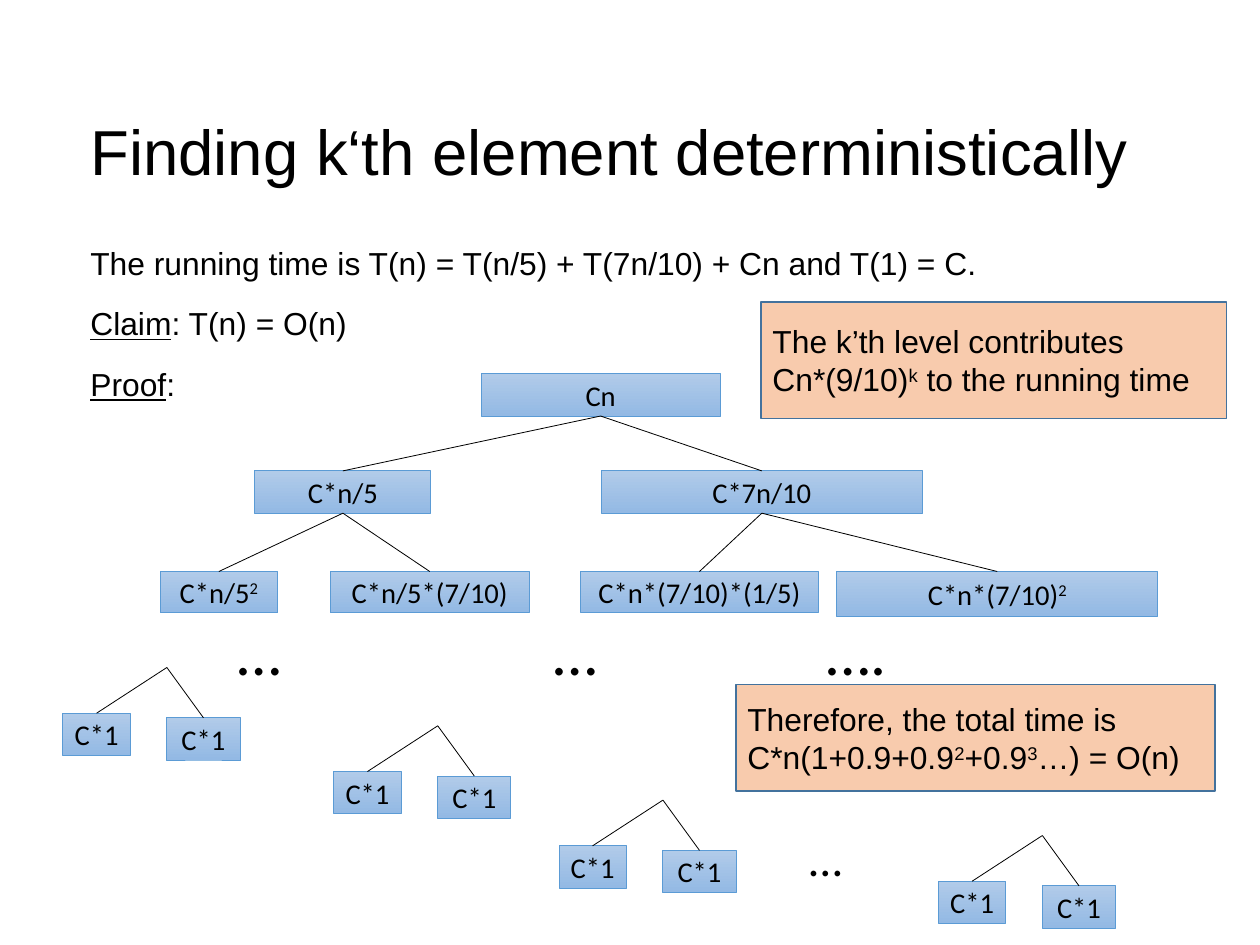
from pptx import Presentation
from pptx import util as u
from pptx.dml.color import RGBColor
from pptx.enum import shapes, text
from pptx.oxml.ns import qn
from lxml import etree

BLACK = RGBColor(0x00, 0x00, 0x00)
NODE_TOP = RGBColor(0xB1, 0xCB, 0xE9)
NODE_BOTTOM = RGBColor(0x93, 0xB9, 0xE4)
NODE_EDGE = RGBColor(0x5B, 0x9B, 0xD5)
NOTE_FILL = RGBColor(0xF8, 0xCB, 0xAD)
NOTE_EDGE = RGBColor(0x43, 0x72, 0x9D)

CELL = u.Inches(0.1)          # side of one grid cell
BOTTOM, TOP = 2, 0            # connection sites of a rectangle


def grid(*lengths):
    return [round(length * CELL) for length in lengths]


def write(frame, *paragraphs, size=20, font="Arial", color=BLACK, align=text.PP_ALIGN.LEFT,
          anchor=text.MSO_ANCHOR.TOP, after=0, inset=0, wrap=True, tabs=()):
    """Fill a frame; "|" parts runs, and a run may start with ^ (raised) or _ (underlined)."""
    frame.word_wrap = wrap
    frame.vertical_anchor = anchor
    frame.margin_left = frame.margin_right = round(inset * CELL)
    frame.margin_top = frame.margin_bottom = round(inset * CELL / 2)
    for index, content in enumerate(paragraphs):
        paragraph = frame.add_paragraph() if index else frame.paragraphs[0]
        paragraph.alignment = align
        paragraph.space_after = u.Pt(after)
        if tabs:
            stops = etree.SubElement(paragraph._p.get_or_add_pPr(), qn("a:tabLst"))
            for stop in grid(*tabs):
                etree.SubElement(stops, qn("a:tab"), pos=str(stop), algn="l")
        for piece in content.split("|"):
            if piece == "\n":
                paragraph.add_line_break()
                continue
            run = paragraph.add_run()
            run.text = piece.lstrip("^_")
            run.font.size, run.font.name = u.Pt(size), font
            run.font.color.rgb = color
            if piece.startswith("_"):
                run.font.underline = True
            if piece.startswith("^"):
                run._r.get_or_add_rPr().set("baseline", "30000")


class RecursionSlide:
    def __init__(self, deck):
        self.slide = deck.slides.add_slide(deck.slide_layouts[6])
        self.shapes = self.slide.shapes

    def label(self, column, row, width, height, *paragraphs, **style):
        box = self.shapes.add_textbox(*grid(column, row, width, height))
        write(box.text_frame, *paragraphs, **style)

    def box(self, column, row, width, height, edge, weight):
        box = self.shapes.add_shape(shapes.MSO_SHAPE.RECTANGLE, *grid(column, row, width, height))
        box.shadow.inherit = False
        box.line.color.rgb, box.line.width = edge, u.Pt(weight)
        return box

    def node(self, column, row, width, cost, height=3.7):
        node = self.box(column, row, width, height, NODE_EDGE, 0.5)
        node.fill.gradient()
        node.fill.gradient_angle = 270
        for stop, color in zip(node.fill.gradient_stops, (NODE_TOP, NODE_BOTTOM)):
            stop.color.rgb = color
        write(node.text_frame, cost, size=18, font="Calibri", wrap=False,
              align=text.PP_ALIGN.CENTER, anchor=text.MSO_ANCHOR.MIDDLE)
        return node

    def note(self, column, row, width, height, *paragraphs):
        note = self.box(column, row, width, height, NOTE_EDGE, 0.99)
        note.fill.solid()
        note.fill.fore_color.rgb = NOTE_FILL
        write(note.text_frame, *paragraphs, inset=1, anchor=text.MSO_ANCHOR.MIDDLE)

    def branch(self, child, parent=None, apex=(0, 0)):
        """Join a child's top to its parent's bottom, or to a loose apex."""
        start = grid(*apex)
        line = self.shapes.add_connector(shapes.MSO_CONNECTOR.STRAIGHT, *start, *start)
        if parent is not None:
            line.begin_connect(parent, BOTTOM)
        line.end_connect(child, TOP)
        line.line.color.rgb, line.line.width = BLACK, u.Pt(0.5)
        etree.SubElement(line._element.spPr, qn("a:effectLst"))

    def leaf_pair(self, column, row):
        for shift, drop, width in ((-9.1, 4, 5.9), (0, 4.4, 6.4)):
            leaf = self.node(column + shift, row + drop, width, "C*1")
            self.branch(leaf, apex=(column, row))


deck = Presentation()
deck.slide_width, deck.slide_height = u.Cm(28), u.Cm(21)
page = RecursionSlide(deck)

# Title and claim
page.label(7.9, 7.5, 92.5, 11.2, "Finding k‘th element deterministically",
           size=40, anchor=text.MSO_ANCHOR.MIDDLE)
page.label(7.9, 21.3, 96.8, 55.2,
           "The running time is T(n) = T(n/5) + T(7n/10) + Cn and T(1) = C.",
           "_Claim|: T(n) = O(n)", "_Proof|:", after=14.2)

# Top levels of the recursion tree
root = page.node(42.1, 32.7, 20.9, "Cn")
fifth = page.node(22.3, 41.2, 15.4, "C*n/5")
seven_tenths = page.node(52.6, 41.2, 28.1, "C*7n/10")
for child in (fifth, seven_tenths):
    page.branch(child, root)

grandchildren = (
    (fifth, 14, 10.3, 3.6, "C*n/5|^2"),
    (fifth, 28.9, 17.4, 3.6, "C*n/5*(7/10)"),
    (seven_tenths, 50.8, 20.8, 3.6, "C*n*(7/10)*(1/5)"),
    (seven_tenths, 73.2, 28.1, 3.9, "C*n*(7/10)|^2"),
)
for parent, column, width, height, cost in grandchildren:
    page.branch(page.node(column, 50, width, cost, height), parent)

# Leaves
for apex in ((14.6, 58.4), (38.3, 63.5), (58, 70), (91.2, 73.1)):
    page.leaf_pair(*apex)

# Omitted levels
page.label(69.8, 72, 4.9, 6.1, "…", size=30, font="Calibri", inset=1, wrap=False)
page.label(19.8, 53.1, 71.5, 7.7, "…\t…\t….", size=40, font="Calibri", inset=1,
           tabs=(27.6, 51.5))

# Conclusions
page.note(66.6, 26.4, 40.7, 10.2,
          "The k’th level contributes|\n|Cn*(9/10)|^k| to the running time")
page.note(64.4, 59.9, 41.9, 9.3,
          "Therefore, the total time is", "C*n(1+0.9+0.9|^2|+0.9|^3|…) = O(n)")

deck.save("out.pptx")
